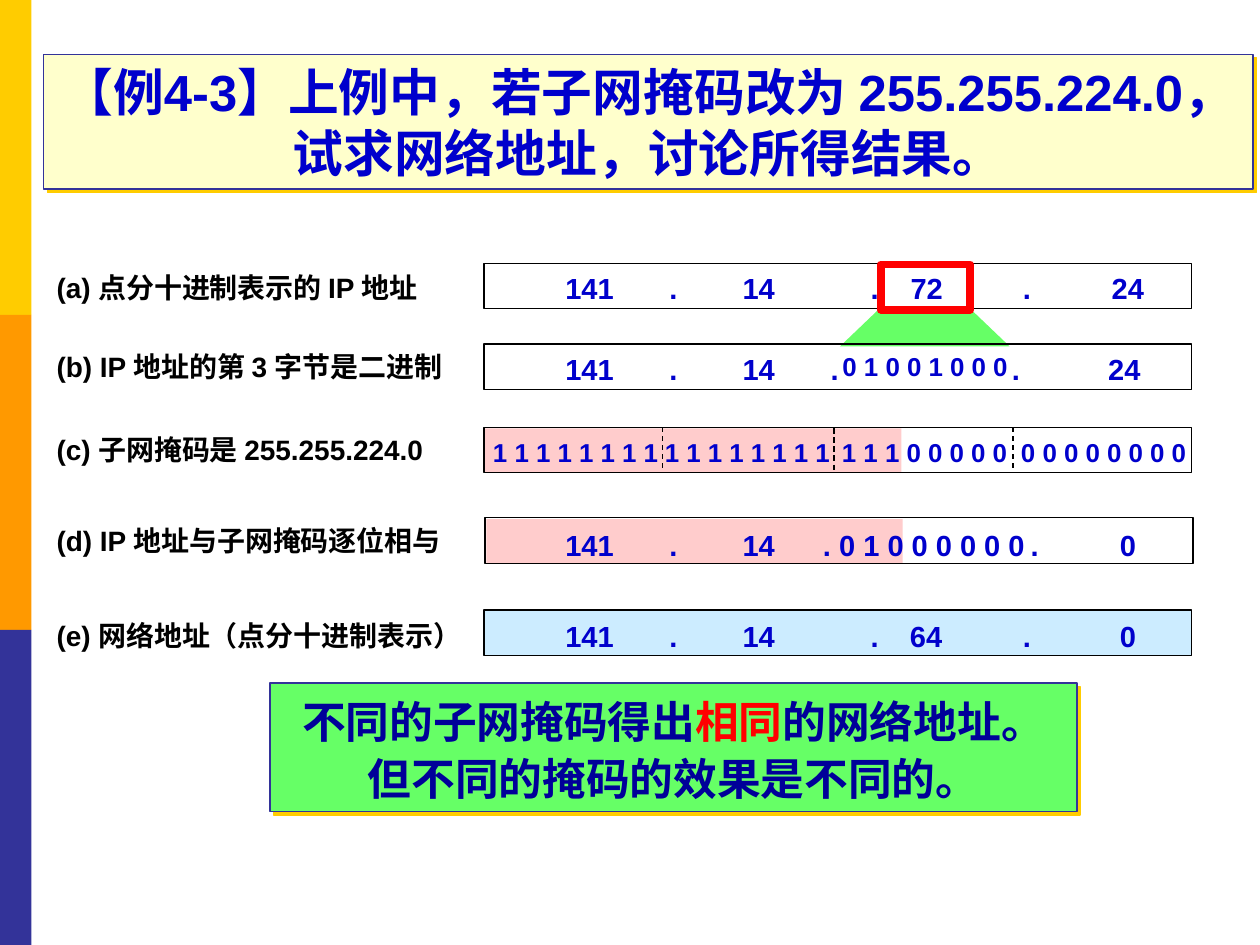
from dataclasses import dataclass

import pptx
import pptx.dml.color
import pptx.enum.dml
import pptx.enum.shapes
import pptx.enum.text
import pptx.oxml.ns
import pptx.util
from lxml import etree

Pt = pptx.util.Pt
Align = pptx.enum.text.PP_ALIGN
Anchor = pptx.enum.text.MSO_ANCHOR
RECTANGLE = pptx.enum.shapes.MSO_SHAPE.RECTANGLE
COLOURS = {
    "gold": "FFCC00", "orange": "FF9900", "indigo": "333399",
    "pink": "FFCCCC", "green": "66FF66", "cream": "FFFFCC",
    "sky": "CCECFF", "blue": "0000CC", "navy": "000099",
    "red": "FF0000", "black": "000000",
}
ROW_LEFT, ROW_WIDTH, ROW_HEIGHT = 276.5, 404.6, 26
VALUE_LEFT, INSET = 316, 7.2


@dataclass
class Row:
    top: float
    label_top: float
    label: str
    value_top: float = 0
    values: tuple[str, ...] = ()
    centres: tuple[float, ...] = ()
    fill: str | None = None
    left: float = ROW_LEFT


@dataclass
class Octet:
    centre: float
    top: float
    bits: str


ROWS = [
    Row(150.5, 151.2, "(a) 点分十进制表示的 IP 地址", 151.2,
        ("141", ".", "14", ".", "72", ".", "24"), (385, 433.7, 500, 529.7, 587, 644.6)),
    Row(196.6, 196.6, "(b) IP 地址的第 3 字节是二进制", 197.3,
        ("141", ".", "14", ".", ".", "24"), (385, 433.7, 477.1, 580.6, 642.6)),
    Row(244.1, 244.1, "(c) 子网掩码是 255.255.224.0"),
    Row(295.9, 295.9, "(d) IP 地址与子网掩码逐位相与", 298.1,
        ("141", ".", "14", ".", "0 1 0 0 0 0 0 0", ".", "0"),
        (385, 433.7, 472.6, 532.6, 591.4, 644.6), left=277.2),
    Row(348.5, 349.9, "(e) 网络地址（点分十进制表示）", 349.9,
        ("141", ".", "14", ".", "64", ".", "0"), (385, 433.7, 500, 529.3, 587, 644.6), "sky"),
]
OCTETS = [
    Octet(528.6, 197.3, "01001000"),
    Octet(328.9, 246.2, "11111111"),
    Octet(427.1, 246.2, "11111111"),
    Octet(528.3, 246.2, "11100000"),
    Octet(630.6, 246.2, "00000000"),
]


def rgb(name: str) -> pptx.dml.color.RGBColor:
    return pptx.dml.color.RGBColor.from_string(COLOURS[name])


def paint(shape, fill: str | None, line: str | None, weight: float) -> None:
    shape.shadow.inherit = False
    if fill:
        shape.fill.solid()
        shape.fill.fore_color.rgb = rgb(fill)
    else:
        shape.fill.background()
    if line:
        shape.line.color.rgb = rgb(line)
        shape.line.width = Pt(weight)
    else:
        shape.line.fill.background()


def add_rectangle(page, left: float, top: float, width: float, height: float,
                  fill: str | None = None, line: str | None = None, weight: float = 0.75):
    box = page.shapes.add_shape(RECTANGLE, Pt(left), Pt(top), Pt(width), Pt(height))
    paint(box, fill, line, weight)
    return box


def add_gold_shadow(box) -> None:
    qn = pptx.oxml.ns.qn
    effects = box._element.spPr.find(qn("a:effectLst"))
    shadow = etree.SubElement(effects, qn("a:outerShdw"), dist=str(Pt(2.8)),
                              dir="2700000", algn="ctr", rotWithShape="0")
    etree.SubElement(shadow, qn("a:srgbClr"), val=COLOURS["gold"])


def style(para, size: float, colour: str, align=Align.LEFT) -> None:
    para.alignment = align
    para.font.name = "Arial"
    para.font.size = Pt(size)
    para.font.bold = True
    para.font.color.rgb = rgb(colour)


def add_text(page, left: float, top: float, width: float, text: str, size: float,
             colour: str, align=Align.LEFT, tabs: tuple[float, ...] = ()) -> None:
    box = page.shapes.add_textbox(Pt(left), Pt(top), Pt(width), Pt(27))
    frame = box.text_frame
    frame.word_wrap = True
    frame.margin_left = frame.margin_right = Pt(INSET)
    frame.margin_top = frame.margin_bottom = Pt(3.3)
    para = frame.paragraphs[0]
    para.text = text
    if tabs:
        qn = pptx.oxml.ns.qn
        stops = etree.SubElement(para._p.get_or_add_pPr(), qn("a:tabLst"))
        for centre in tabs:
            etree.SubElement(stops, qn("a:tab"), pos=str(Pt(centre - left - INSET)), algn="ctr")
    style(para, size, colour, align)


def add_row(page, row: Row) -> None:
    add_rectangle(page, row.left, row.top, ROW_WIDTH, ROW_HEIGHT, row.fill, "black")
    add_text(page, 25.2, row.label_top, 270, row.label, 16, "black")
    if row.values:
        add_text(page, VALUE_LEFT, row.value_top, 365, "\t".join(row.values),
                 16.6, "blue", tabs=row.centres)


def add_octet(page, octet: Octet) -> None:
    width = 120
    add_text(page, octet.centre - width / 2, octet.top, width, " ".join(octet.bits),
             14.8, "blue", Align.CENTER)


def add_divider(page, x: float, top: float) -> None:
    line = page.shapes.add_connector(pptx.enum.shapes.MSO_CONNECTOR.STRAIGHT,
                                     Pt(x), Pt(top), Pt(x), Pt(top + 25.5))
    line.line.color.rgb = rgb("black")
    line.line.width = Pt(0.75)
    line.line.dash_style = pptx.enum.dml.MSO_LINE.DASH
    etree.SubElement(line._element.spPr, pptx.oxml.ns.qn("a:effectLst"))


def add_title(page) -> None:
    box = add_rectangle(page, 25, 31, 691, 77, "cream", "indigo")
    add_gold_shadow(box)
    frame = box.text_frame
    frame.word_wrap = True
    frame.vertical_anchor = Anchor.BOTTOM
    para = frame.paragraphs[0]
    para.text = "【例4-3】上例中，若子网掩码改为 255.255.224.0，试求网络地址，讨论所得结果。"
    style(para, 29, "blue", Align.CENTER)


def add_conclusion(page) -> None:
    box = add_rectangle(page, 154.3, 390.3, 461, 73.4, "green", "indigo", 1)
    add_gold_shadow(box)
    frame = box.text_frame
    frame.word_wrap = True
    frame.vertical_anchor = Anchor.TOP
    first, second = frame.paragraphs[0], frame.add_paragraph()
    for text in ("不同的子网掩码得出", "相同", "的网络地址。"):
        span = first.add_run()
        span.text = text
        if text == "相同":
            span.font.color.rgb = rgb("red")
    second.text = "但不同的掩码的效果是不同的。"
    for para in (first, second):
        para.line_spacing = 1.1
        style(para, 25, "navy", Align.CENTER)


def main() -> None:
    deck = pptx.Presentation()
    deck.slide_width, deck.slide_height = Pt(720), Pt(540)
    page = deck.slides.add_slide(deck.slide_layouts[6])
    for index, colour in enumerate(("gold", "orange", "indigo")):
        add_rectangle(page, 0, index * 180, 18, 180, colour)
    add_title(page)
    for left, top in ((277.2, 244.8), (277.9, 296.6)):
        add_rectangle(page, left, top, 238, 25.2, "pink")
    outline = page.shapes.build_freeform(503.3, 175.7, scale=Pt(1))
    outline.add_line_segments([(554.4, 175.7), (576.7, 198), (480.2, 198)])
    paint(outline.convert_to_shape(), "green", None, 0)
    for row in ROWS:
        add_row(page, row)
    for octet in OCTETS:
        add_octet(page, octet)
    for x, top in ((378.7, 244.1), (476.6, 244.8), (578.9, 244.1)):
        add_divider(page, x, top)
    add_rectangle(page, 503.3, 151.2, 51.1, 25.9, line="red", weight=4.5)
    add_conclusion(page)
    deck.save("out.pptx")


if __name__ == "__main__":
    main()
